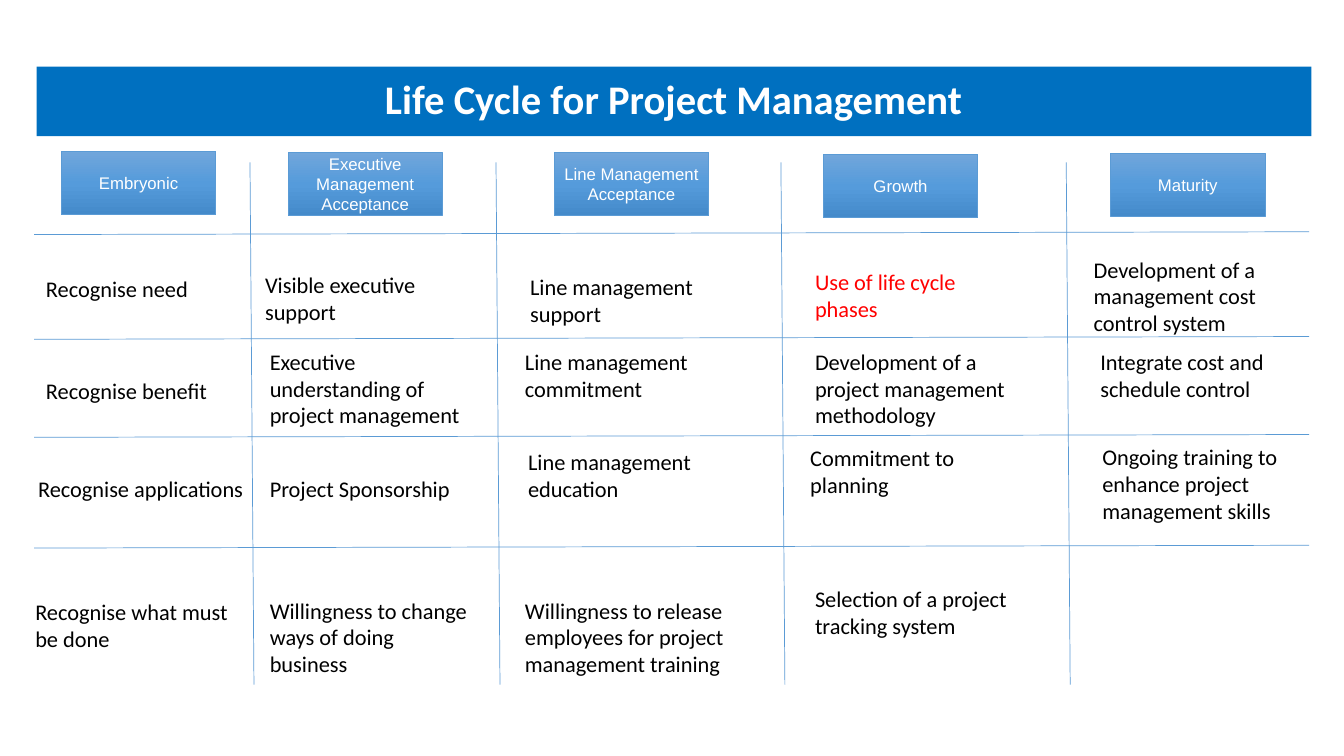
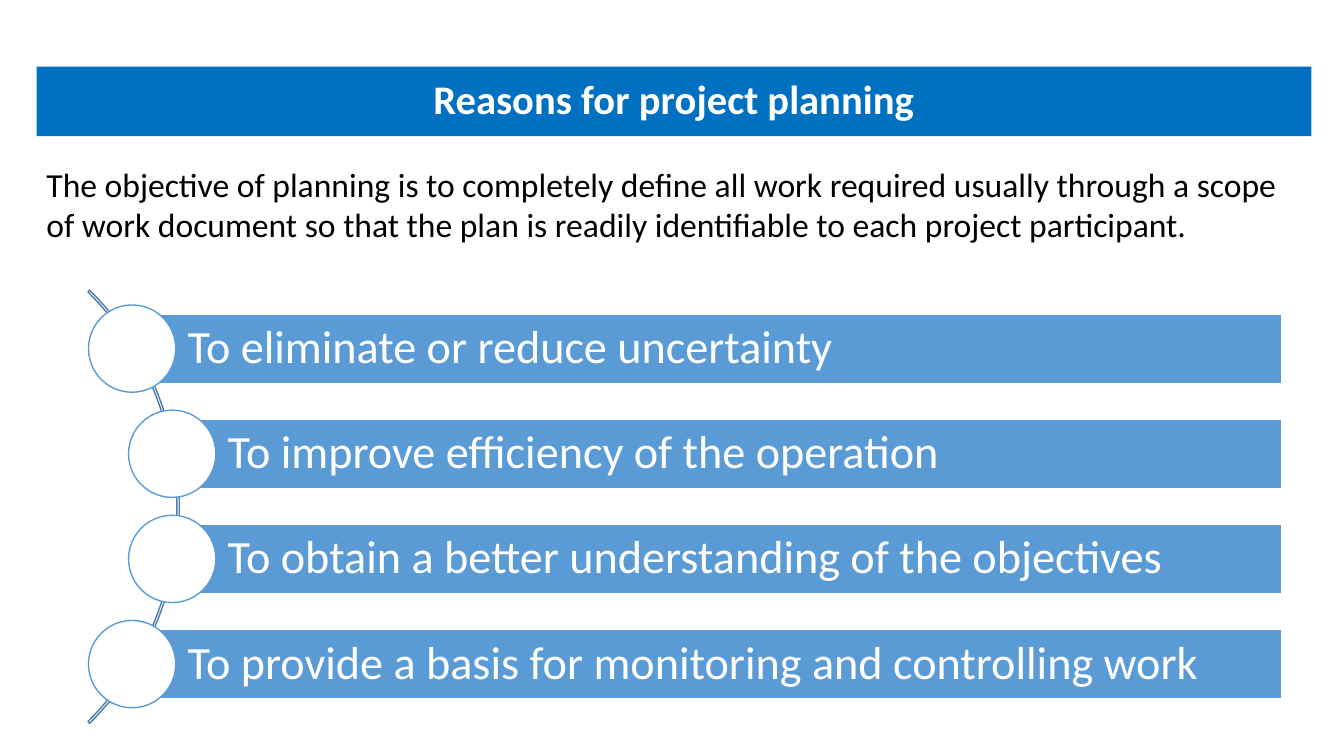
from copy import deepcopy

from pptx import Presentation
from pptx.dml.color import RGBColor
from pptx.enum.shapes import MSO_CONNECTOR, MSO_SHAPE
from pptx.enum.text import MSO_ANCHOR, MSO_AUTO_SIZE, PP_ALIGN
from pptx.oxml.ns import qn
from pptx.util import Cm, Pt

BAND = RGBColor(0x00, 0x70, 0xC0)
ACCENT = RGBColor(0x5B, 0x9B, 0xD5)
ARC_LINE = RGBColor(0x49, 0x7C, 0xAB)
WHITE = RGBColor(0xFF, 0xFF, 0xFF)
BLACK = RGBColor(0x00, 0x00, 0x00)
RED = RGBColor(0xFF, 0x00, 0x00)
HEADER_GRADIENT = [
    (0, RGBColor(0x71, 0xA6, 0xDB)),
    (0.5, RGBColor(0x55, 0x9B, 0xDB)),
    (1, RGBColor(0x44, 0x8A, 0xCA)),
]

deck = Presentation()
deck.slide_width, deck.slide_height = Cm(33.87), Cm(19.05)


def write(shape, text, size, color, align=PP_ALIGN.LEFT, font="Calibri", bold=False):
    """Put one formatted run in the shape and return its paragraph."""
    shape.text_frame.word_wrap = True
    paragraph = shape.text_frame.paragraphs[0]
    paragraph.alignment = align
    run = paragraph.add_run()
    run.text = text
    run.font.name, run.font.size, run.font.bold = font, Pt(size), bold
    run.font.color.rgb = color
    return paragraph


def add_titled_slide(heading):
    slide = deck.slides.add_slide(deck.slide_layouts[5])
    title = slide.shapes.title
    title.left, title.top, title.width, title.height = Cm(0.92), Cm(1.68), Cm(32.13), Cm(1.75)
    title.fill.solid()
    title.fill.fore_color.rgb = BAND
    title.text_frame.auto_size = MSO_AUTO_SIZE.NONE
    title.text_frame.vertical_anchor = MSO_ANCHOR.MIDDLE
    write(title, heading, 29, WHITE, PP_ALIGN.CENTER, bold=True).line_spacing = 0.9
    return slide


# Life cycle phases
life_cycle = add_titled_slide("Life Cycle for Project Management")

row_lines = [(0.86, y + 0.07, 32.99, y) for y in (5.84, 8.48, 10.95, 13.74)]
column_lines = [(x, 4.09, x + 0.1, 17.25) for x in (6.3, 12.5, 19.68, 26.87)]
for ends in row_lines + column_lines:
    rule = life_cycle.shapes.add_connector(MSO_CONNECTOR.STRAIGHT, *map(Cm, ends))
    rule.line.color.rgb = ACCENT
    rule.line.width = Pt(0.5)
    rule._element.spPr.get_or_add_effectLst() if hasattr(
        rule._element.spPr, "get_or_add_effectLst") else rule._element.spPr.append(
        rule._element.makeelement(qn("a:effectLst"), {}))

phases = [
    (1.55, 3.81, "Embryonic"),
    (7.26, 3.84, "Executive Management Acceptance"),
    (13.97, 3.84, "Line Management Acceptance"),
    (20.75, 3.89, "Growth"),
    (27.99, 3.86, "Maturity"),
]
for left, top, phase in phases:
    header = life_cycle.shapes.add_shape(
        MSO_SHAPE.RECTANGLE, Cm(left), Cm(top), Cm(3.89), Cm(1.6))
    header.shadow.inherit = False
    header.fill.gradient()
    header.fill.gradient_angle = 270
    stop_list = header._element.spPr.find(".//" + qn("a:gsLst"))
    stop_list.insert(1, deepcopy(stop_list[0]))
    for stop, (position, color) in zip(header.fill.gradient_stops, HEADER_GRADIENT):
        stop.position = position
        stop.color.rgb = color
    header.line.color.rgb = ACCENT
    header.line.width = Pt(0.5)
    header.text_frame.vertical_anchor = MSO_ANCHOR.MIDDLE
    write(header, phase, 12, WHITE, PP_ALIGN.CENTER, font="Arial")

# Left, top and height of each step, phase by phase
steps = [
    (0.91, 6.81, 1.55, "Recognise need"),
    (0.91, 9.37, 1.55, "Recognise benefit"),
    (0.71, 11.86, 1.55, "Recognise applications"),
    (0.64, 14.96, 2.24, "Recognise what must be done"),
    (6.43, 6.71, 2.24, "Visible executive support"),
    (6.55, 8.64, 2.9, "Executive understanding of project management"),
    (6.55, 11.86, 1.55, "Project Sponsorship"),
    (6.55, 14.91, 2.9, "Willingness to change ways of doing business"),
    (13.11, 6.76, 2.24, "Line management support"),
    (12.98, 8.66, 2.24, "Line management commitment"),
    (13.06, 11.18, 2.24, "Line management education"),
    (12.98, 14.91, 2.9, "Willingness to release employees for project management training"),
    (20.29, 6.63, 2.24, "Use of life cycle phases"),
    (20.29, 8.64, 2.9, "Development of a project management methodology"),
    (20.17, 11.07, 2.24, "Commitment to planning"),
    (20.29, 14.63, 2.24, "Selection of a project tracking system"),
    (27.31, 6.32, 2.3, "Development of a management cost control system"),
    (27.48, 8.64, 2.24, "Integrate cost and schedule control"),
    (27.53, 11.05, 2.9, "Ongoing training to enhance project management skills"),
]
HIGHLIGHTED = "Use of life cycle phases"
for left, top, height, step in steps:
    cell = life_cycle.shapes.add_textbox(Cm(left), Cm(top), Cm(5.7), Cm(height))
    write(cell, step, 16, RED if step == HIGHLIGHTED else BLACK)

# Reasons for planning
planning = add_titled_slide("Reasons for project planning")

arc = planning.shapes.add_shape(
    MSO_SHAPE.BLOCK_ARC, Cm(-10.92), Cm(5.05), Cm(15.44), Cm(15.44))
arc.shadow.inherit = False
arc.adjustments[0] = 189
arc.adjustments[1] = 27
arc.adjustments[2] = 0.004
arc.fill.background()
arc.line.color.rgb = ARC_LINE
arc.line.width = Pt(1)

BAR_RIGHT, BAR_TOP, BAR_HEIGHT, BAR_PITCH, DOT = 32.31, 7.91, 1.75, 2.65, 2.2
reasons = [
    (3.33, "To eliminate or reduce uncertainty"),
    (4.34, "To improve efficiency of the operation"),
    (4.34, "To obtain a better understanding of the objectives"),
    (3.33, "To provide a basis for monitoring and controlling work"),
]
for row, (left, reason) in enumerate(reasons):
    top = BAR_TOP + row * BAR_PITCH
    bar = planning.shapes.add_shape(
        MSO_SHAPE.RECTANGLE, Cm(left), Cm(top), Cm(BAR_RIGHT - left), Cm(BAR_HEIGHT))
    dot = planning.shapes.add_shape(
        MSO_SHAPE.OVAL, Cm(left - DOT / 2), Cm(top + (BAR_HEIGHT - DOT) / 2), Cm(DOT), Cm(DOT))
    for part, fill, outline in ((bar, ACCENT, WHITE), (dot, WHITE, ACCENT)):
        part.shadow.inherit = False
        part.fill.solid()
        part.fill.fore_color.rgb = fill
        part.line.color.rgb = outline
        part.line.width = Pt(1)
    bar.text_frame.margin_left = Cm(1.4)
    bar.text_frame.vertical_anchor = MSO_ANCHOR.MIDDLE
    write(bar, reason, 33, WHITE).line_spacing = 0.9

objective = planning.shapes.add_textbox(Cm(0.92), Cm(4.01), Cm(32.13), Cm(2.31))
write(objective, "The objective of planning is to completely define all work required usually "
      "through a scope of work document so that the plan is readily identifiable to each "
      "project participant.", 24, BLACK)

deck.save("out.pptx")
